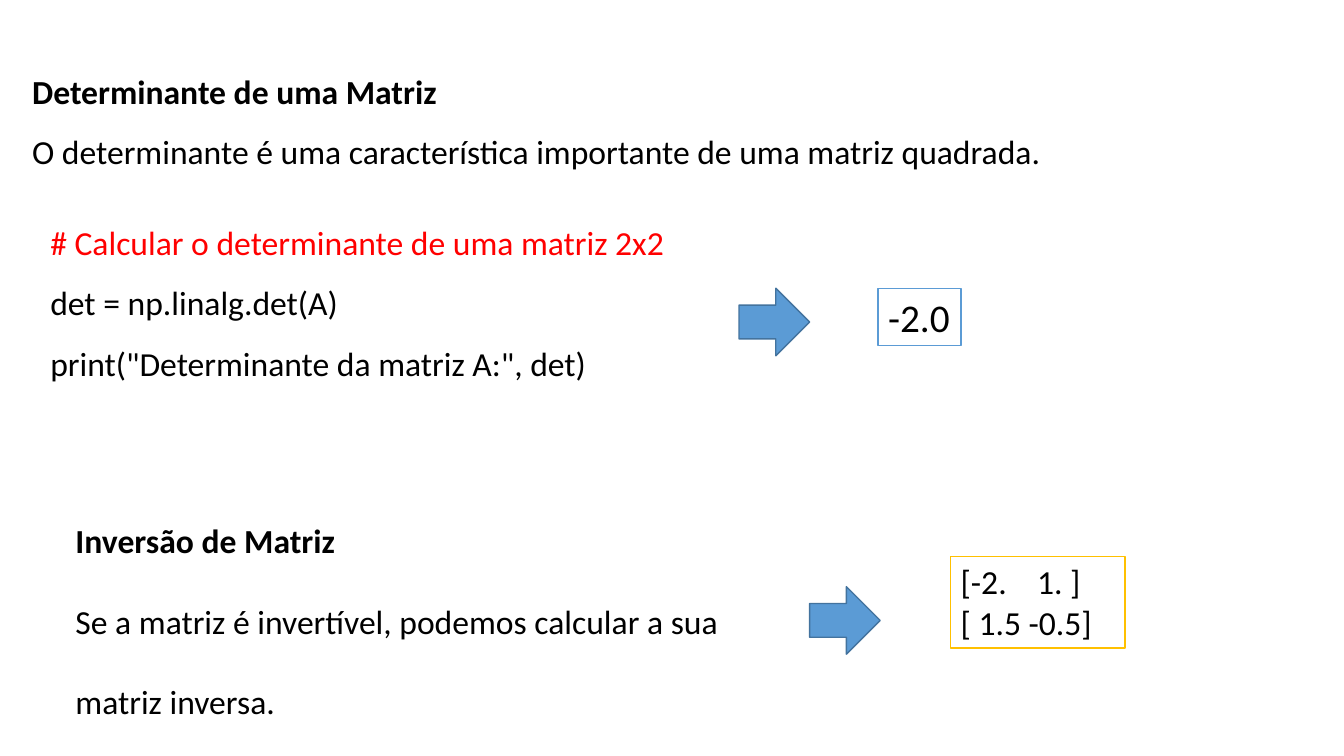
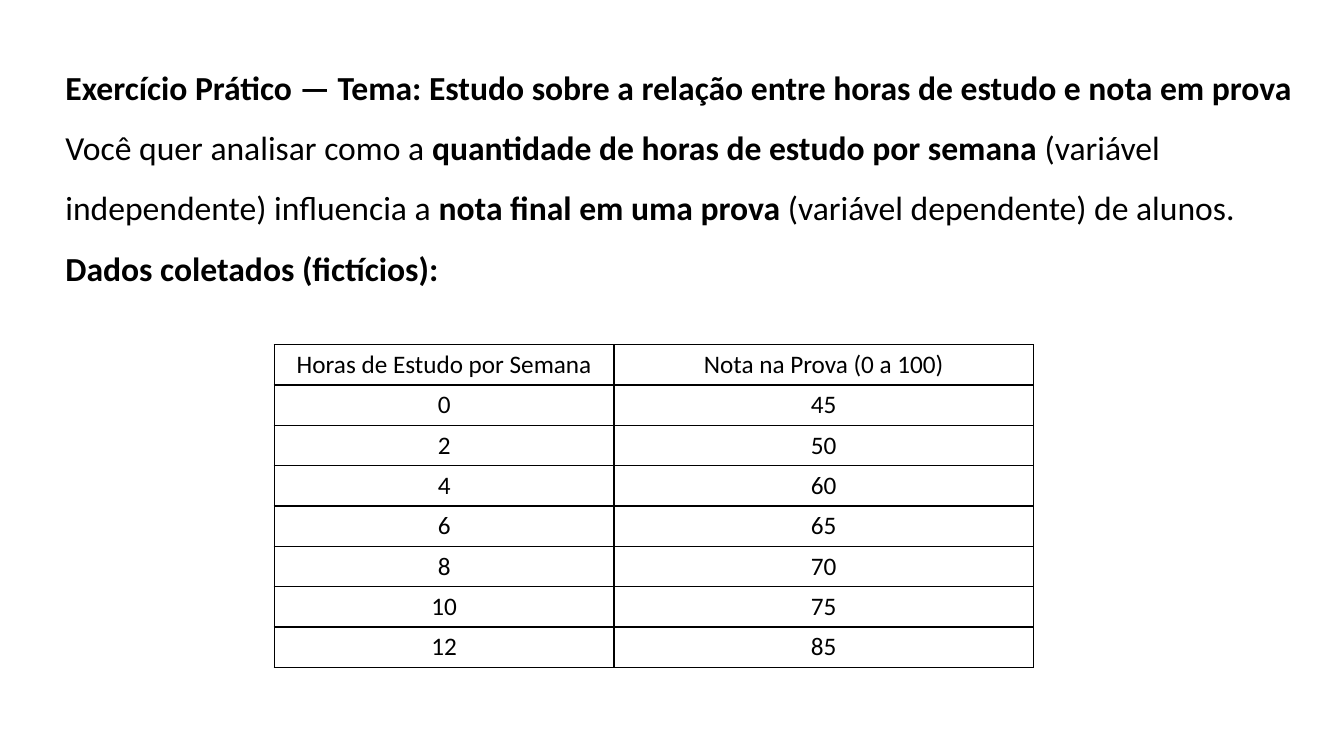
"""Build two slides on matrix operations and a study-hours exercise."""
import pptx
import pptx.dml.color
import pptx.enum.shapes
import pptx.enum.text
import pptx.oxml
import pptx.oxml.ns
import pptx.util

Inches = pptx.util.Inches
FONT = "Calibri"
BODY_SIZE = 24
COLORS = {
    "text": "000000",
    "code_remark": "FF0000",
    "paper": "FFFFFF",
    "blue": "5B9BD5",
    "arrow_edge": "43739E",
    "gold": "FFC000",
}
STUDY_ROWS = [
    ("Horas de Estudo por Semana", "Nota na Prova (0 a 100)"),
    (0, 45), (2, 50), (4, 60), (6, 65), (8, 70), (10, 75), (12, 85),
]


def rgb(name):
    return pptx.dml.color.RGBColor.from_string(COLORS[name])


def add_run(para, text, size=BODY_SIZE, bold=False, color="text"):
    span = para.add_run()
    span.text = text
    span.font.name = FONT
    span.font.size = pptx.util.Pt(size)
    span.font.bold = bold
    span.font.color.rgb = rgb(color)


def fill_frame(frame, paragraphs, size=BODY_SIZE, spacing=1.0):
    for index, runs in enumerate(paragraphs):
        para = frame.add_paragraph() if index else frame.paragraphs[0]
        para.alignment = pptx.enum.text.PP_ALIGN.LEFT
        para.line_spacing = spacing
        for text, style in runs:
            add_run(para, text, size, **style)


def add_text(page, place, paragraphs, spacing=1.5):
    box = page.shapes.add_textbox(*map(Inches, place))
    box.text_frame.word_wrap = True
    fill_frame(box.text_frame, paragraphs, spacing=spacing)


def add_preset(page, kind, place, fill, line):
    shape = page.shapes.add_shape(kind, *map(Inches, place))
    shape.shadow.inherit = False
    shape.fill.solid()
    shape.fill.fore_color.rgb = rgb(fill)
    shape.line.color.rgb = rgb(line)
    shape.line.width = pptx.util.Pt(1)
    return shape


def add_arrow(page, left, top):
    kind = pptx.enum.shapes.MSO_SHAPE.RIGHT_ARROW
    add_preset(page, kind, (left, top, 0.7, 0.67), "blue", "arrow_edge")


def add_result(page, place, lines, line, size=BODY_SIZE, wrap=True):
    kind = pptx.enum.shapes.MSO_SHAPE.RECTANGLE
    frame = add_preset(page, kind, place, "paper", line).text_frame
    frame.word_wrap = wrap
    frame.vertical_anchor = pptx.enum.text.MSO_ANCHOR.TOP
    fill_frame(frame, [[(text, {})] for text in lines], size)


def add_borders(cell):
    properties = cell._tc.get_or_add_tcPr()
    for index, side in enumerate(("lnL", "lnR", "lnT", "lnB")):
        border = pptx.oxml.parse_xml(
            f'<a:{side} {pptx.oxml.ns.nsdecls("a")} w="12700"><a:solidFill>'
            f'<a:srgbClr val="{COLORS["text"]}"/></a:solidFill></a:{side}>')
        properties.insert(index, border)


def add_grid(page, left, top, widths, row_height, rows):
    frame = page.shapes.add_table(
        len(rows), len(widths), Inches(left), Inches(top),
        Inches(sum(widths)), Inches(row_height * len(rows)))
    table = frame.table
    table.first_row = False
    table.horz_banding = False
    for column, width in zip(table.columns, widths):
        column.width = Inches(width)
    for row, values in zip(table.rows, rows):
        row.height = Inches(row_height)
        for cell, value in zip(row.cells, values):
            cell.fill.solid()
            cell.fill.fore_color.rgb = rgb("paper")
            cell.margin_top = cell.margin_bottom = 0
            cell.vertical_anchor = pptx.enum.text.MSO_ANCHOR.MIDDLE
            para = cell.text_frame.paragraphs[0]
            para.alignment = pptx.enum.text.PP_ALIGN.CENTER
            add_run(para, str(value), size=18)
            add_borders(cell)


def build_matrix_page(page):
    bold = {"bold": True}
    add_text(page, (0.22, 0.45, 11.42, 1.25), [
        [("Determinante de uma Matriz", bold)],
        [("O determinante é uma característica importante de uma matriz quadrada.", {})],
    ])
    add_text(page, (0.4, 1.95, 7.62, 1.86), [
        [("# Calcular o determinante de uma matriz 2x2", {"color": "code_remark"})],
        [("det = np.linalg.det(A)", {})],
        [('print("Determinante da matriz A:", det)', {})],
    ])
    add_result(page, (8.71, 2.86, 0.82, 0.57), ["-2.0"], "blue", size=28, wrap=False)
    add_arrow(page, 7.33, 2.86)
    add_text(page, (0.65, 4.71, 6.68, 2.52), [
        [("Inversão de Matriz", bold)],
        [("Se a matriz é invertível, podemos calcular a sua matriz inversa.", {})],
    ], spacing=2.0)
    add_arrow(page, 8.03, 5.82)
    add_result(page, (9.43, 5.52, 1.73, 0.91), ["[-2.    1. ]", "[ 1.5 -0.5]"], "gold")


def build_exercise_page(page):
    bold = {"bold": True}
    add_text(page, (0.55, 0.41, 12.38, 2.46), [
        [("Exercício Prático — Tema: Estudo sobre a relação entre horas de estudo "
          "e nota em prova", bold)],
        [("Você quer analisar como a ", {}),
         ("quantidade de horas de estudo por semana", bold),
         (" (variável independente) influencia a ", {}),
         ("nota final em uma prova", bold),
         (" (variável dependente) de alunos.", {})],
        [("Dados coletados (fictícios):", bold)],
    ])
    add_grid(page, 2.72, 3.42, (3.37, 4.16), 0.4, STUDY_ROWS)


def main():
    deck = pptx.Presentation()
    deck.slide_width = Inches(13.33)
    deck.slide_height = Inches(7.5)
    for build in (build_matrix_page, build_exercise_page):
        build(deck.slides.add_slide(deck.slide_layouts[6]))
    deck.save("out.pptx")


if __name__ == "__main__":
    main()
